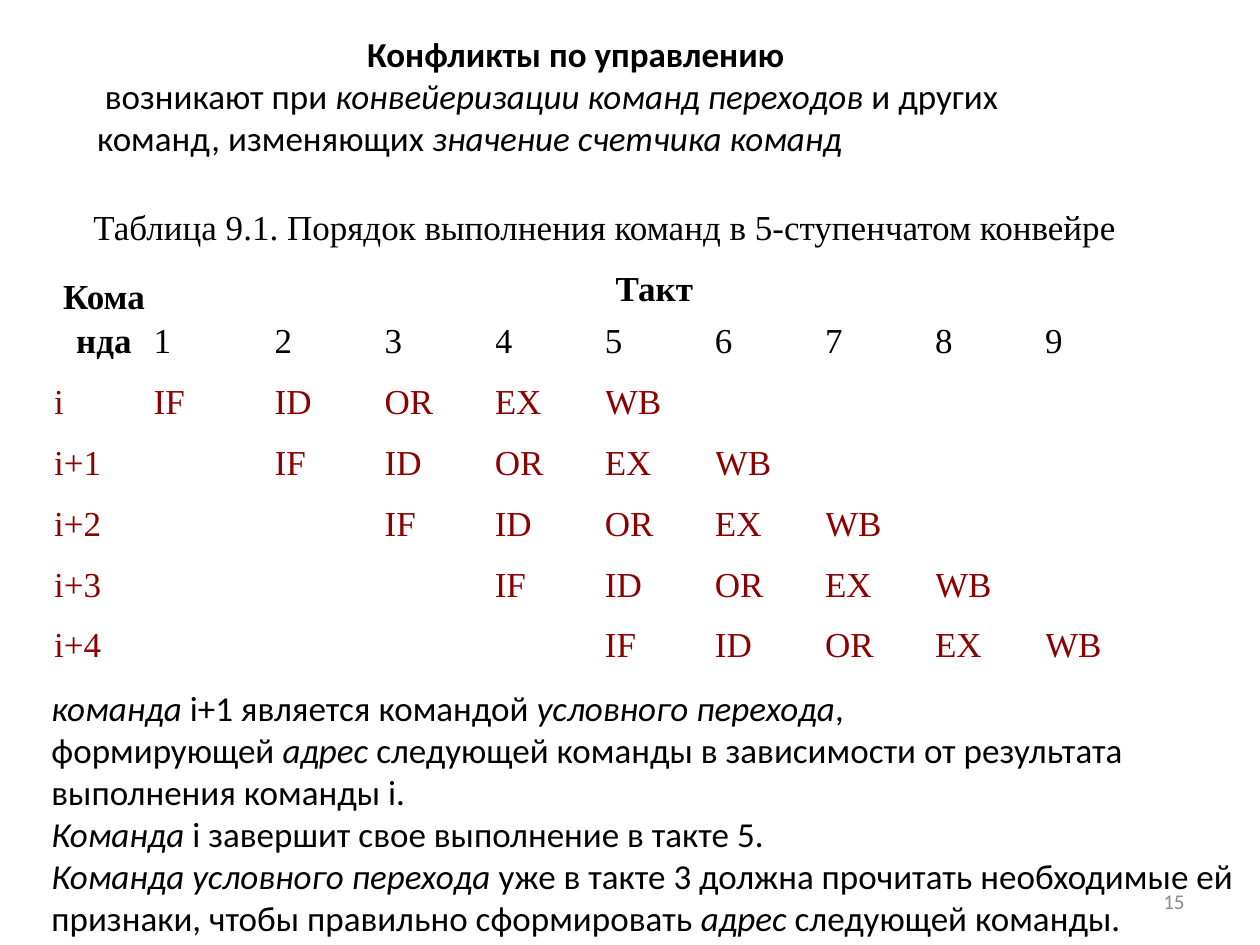
from pptx import Presentation
from pptx.dml.color import RGBColor as Rgb
from pptx.enum.text import MSO_ANCHOR as Anchor, MSO_AUTO_SIZE as Fit, PP_ALIGN as Align
from pptx.util import Inches, Pt

BLACK = Rgb(0x00, 0x00, 0x00)
WHITE = Rgb(0xFF, 0xFF, 0xFF)
RED = Rgb(0x8B, 0x00, 0x00)
GRAY = Rgb(0x8C, 0x8C, 0x8C)
SANS, SERIF = "Calibri", "Times New Roman"
STAGES = ["IF", "ID", "OR", "EX", "WB"]
TACTS = 9

TITLE = "Конфликты по управлению"
INTRO = ("~возникают при~*конвейеризации~команд переходов*~и других "
         "команд, изменяющих~*значение~счетчика команд*")
CAPTION = "Таблица 9.1. Порядок выполнения команд в 5-ступенчатом конвейре"
NOTES = [
    "*команда*~i+1~является командой~*условного перехода*, формирующей~*адрес*"
    "~следующей команды в зависимости от результата выполнения команды~i.~",
    "*Команда~*i~завершит свое выполнение в такте 5.",
    "*Команда~условного перехода*~уже в такте 3 должна прочитать необходимые ей "
    "признаки, чтобы правильно сформировать *адрес *следующей команды.",
]


def style(para, face, color=BLACK, size=20, bold=False, align=Align.LEFT):
    """Set the font and alignment of a paragraph."""
    font = para.font
    font.name, font.size, font.bold = face, Pt(size), bold
    font.color.rgb = color
    para.alignment = align


def write(para, text):
    """Add runs: stars enclose italics, a tilde is a no-break space."""
    for num, part in enumerate(text.replace("~", chr(160)).split("*")):
        if part:
            run = para.add_run()
            run.text = part
            run.font.italic = num % 2 == 1
    style(para, SANS)


def place(shape, box):
    """Move a shape to a box given in inches."""
    shape.left, shape.top, shape.width, shape.height = map(Inches, box)


def add_head(slide, box):
    """Fill the title placeholder with the heading and its definition."""
    title = slide.shapes.title
    place(title, box)
    frame = title.text_frame
    frame.word_wrap = True
    frame.auto_size = Fit.NONE
    frame.vertical_anchor = Anchor.TOP
    head = frame.paragraphs[0]
    head.text = TITLE
    style(head, SANS, bold=True, align=Align.CENTER)
    write(frame.add_paragraph(), INTRO)


def fill_cell(cell, text, **look):
    """Write one line of text into a table cell."""
    para = cell.text_frame.paragraphs[0]
    para.text = text
    para.line_spacing = 1.15
    style(para, SERIF, **look)


def add_grid(slide, box):
    """Build the table of pipeline stages by clock tact."""
    rows, cols = len(STAGES) + 3, TACTS + 1
    table = slide.shapes.add_table(rows, cols, *map(Inches, box)).table
    table.first_row = table.horz_banding = False
    wide, high = box[2:]
    first = [0.79, 0.96]
    rest = (wide - sum(first)) / (cols - len(first))
    for col, width in zip(table.columns, first + [rest] * (cols - len(first))):
        col.width = Inches(width)
    for row in table.rows:
        row.height = Inches(high / rows)
    for cell in table.iter_cells():
        cell.fill.solid()
        cell.fill.fore_color.rgb = WHITE
        cell.margin_left = cell.margin_right = 0
        cell.margin_top = cell.margin_bottom = 0

    heads = [(0, 0, 0, TACTS, CAPTION, False),
             (1, 0, 2, 0, "Команда", True),
             (1, 1, 1, TACTS, "Такт", True)]
    for top, left, low, right, text, bold in heads:
        cell = table.cell(top, left)
        cell.merge(table.cell(low, right))
        cell.vertical_anchor = Anchor.MIDDLE
        fill_cell(cell, text, bold=bold, align=Align.CENTER)

    for tact in range(1, TACTS + 1):
        fill_cell(table.cell(2, tact), str(tact))
    for step in range(len(STAGES)):
        row = step + 3
        fill_cell(table.cell(row, 0), f"i+{step}" if step else "i", color=RED)
        for col, stage in enumerate(STAGES, step + 1):
            fill_cell(table.cell(row, col), stage, color=RED)


def add_notes(slide, box):
    """Add the explanation below the table."""
    frame = slide.shapes.add_textbox(*map(Inches, box)).text_frame
    frame.word_wrap = True
    for num, text in enumerate(NOTES):
        write(frame.add_paragraph() if num else frame.paragraphs[0], text)


def add_page(slide, box):
    """Add the page number."""
    frame = slide.shapes.add_textbox(*map(Inches, box)).text_frame
    frame.word_wrap = True
    frame.vertical_anchor = Anchor.MIDDLE
    para = frame.paragraphs[0]
    para.text = "15"
    style(para, SANS, color=GRAY, size=12, align=Align.RIGHT)


def main():
    """Build and save the slide."""
    deck = Presentation()
    deck.slide_width, deck.slide_height = Inches(10), Inches(7.5)
    slide = deck.slides.add_slide(deck.slide_layouts.get_by_name("Title Only"))
    add_head(slide, (0.67, 0.21, 7.8, 1.41))
    add_grid(slide, (0.43, 1.55, 8.74, 3.86))
    add_notes(slide, (0.31, 5.4, 9.69, 2.42))
    add_page(slide, (7.17, 6.95, 2.33, 0.4))
    deck.save("out.pptx")


if __name__ == "__main__":
    main()
